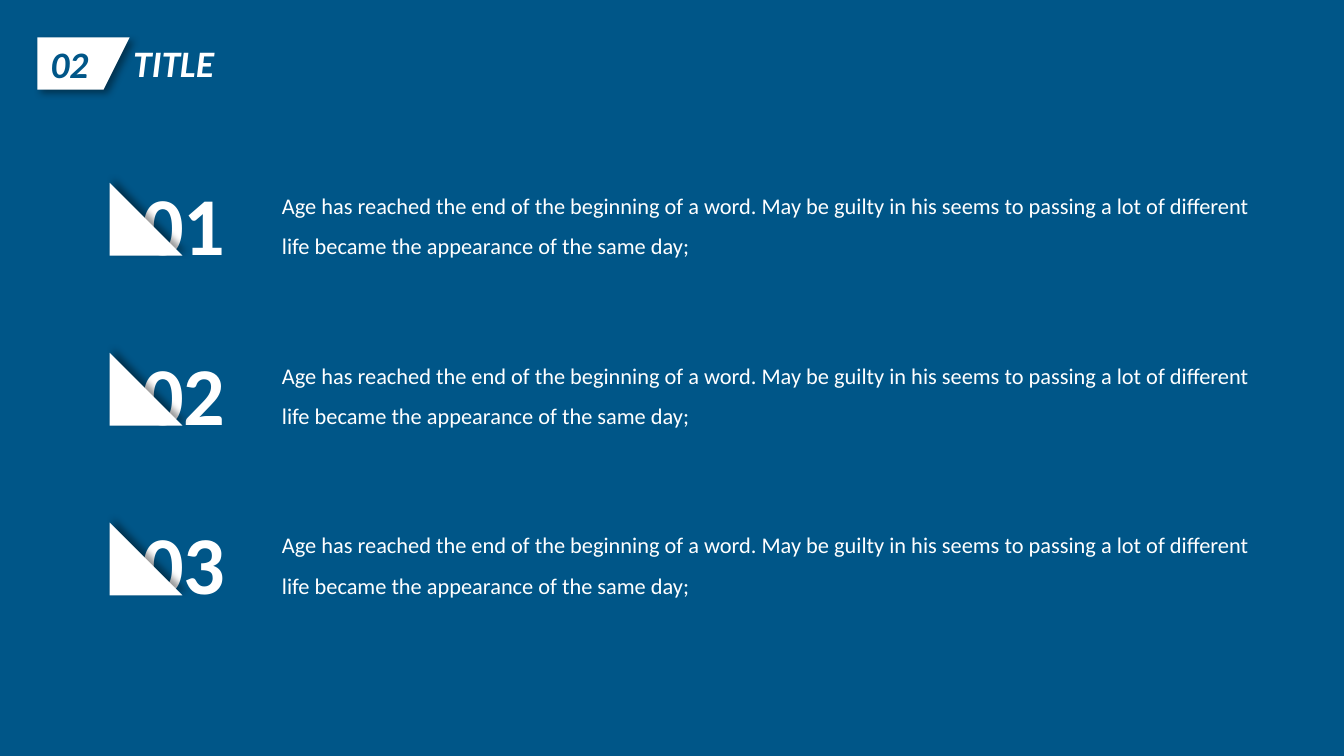
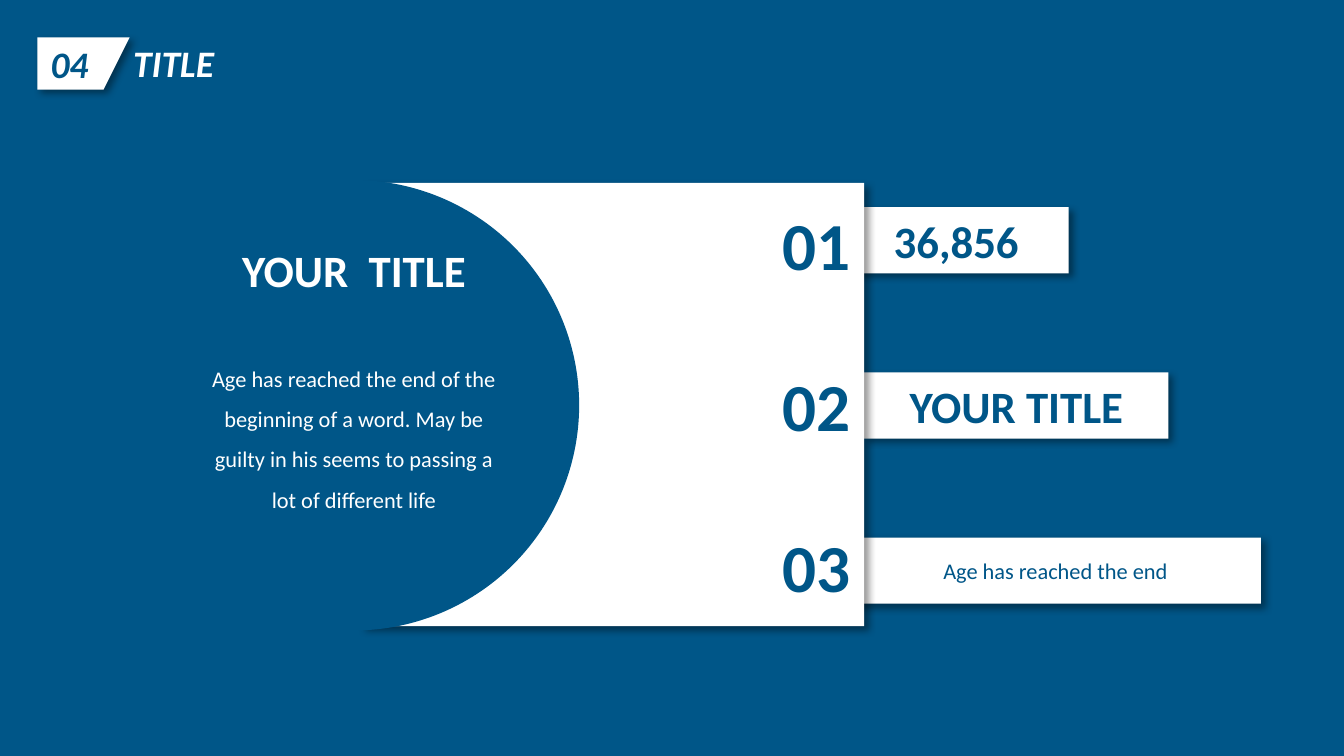
from lxml.etree import SubElement
from pptx import Presentation
from pptx.dml.color import RGBColor
from pptx.enum.shapes import MSO_SHAPE
from pptx.enum.text import MSO_ANCHOR, PP_ALIGN
from pptx.oxml.ns import qn
from pptx.util import Pt

BLUE = RGBColor(0x00, 0x56, 0x88)
WHITE = RGBColor(0xFF, 0xFF, 0xFF)
BLACK = RGBColor(0x00, 0x00, 0x00)

BODY = {"size": Pt(12), "bold": False}
HEADING = {"size": Pt(24), "bold": True}
SECTION = {"size": Pt(20), "bold": True, "italic": True}
ROW_NUMBER = {"size": Pt(44), "bold": True}
PANEL_NUMBER = {"size": Pt(36), "bold": True}

SENTENCE = ("Age has reached the end of the beginning of a word. "
            "May be guilty in his seems to passing a lot of different life")
ROW_TEXT = SENTENCE + " became the appearance of the same day;"
NUMBERS = ["01", "02", "03"]


def set_attributes(target, values):
    for name, value in values.items():
        setattr(target, name, value)


def add_page(deck):
    page = deck.slides.add_slide(deck.slide_layouts[6])
    page.background.fill.solid()
    page.background.fill.fore_color.rgb = BLUE
    return page


def write(box, paragraphs, color, anchor=MSO_ANCHOR.MIDDLE):
    frame = box.text_frame
    set_attributes(frame, {"word_wrap": True, "vertical_anchor": anchor})
    for index, (text, font, layout) in enumerate(paragraphs):
        para = frame.add_paragraph() if index else frame.paragraphs[0]
        set_attributes(para, {"alignment": PP_ALIGN.LEFT, **layout})
        span = para.add_run()
        span.text = text
        set_attributes(span.font, {"name": "Calibri", **font})
        span.font.color.rgb = color


def add_text(page, bounds, text, font, **layout):
    box = page.shapes.add_textbox(*map(Pt, bounds))
    write(box, [(text, font, layout)], WHITE, MSO_ANCHOR.TOP)


def add_shadow(shape, angle):
    effects = shape._element.spPr.find(qn("a:effectLst"))
    shadow = SubElement(effects, qn("a:outerShdw"), {
        "blurRad": str(Pt(4)), "dist": str(Pt(3)), "dir": str(angle * 60000),
        "algn": "tl" if angle == 45 else "bl", "rotWithShape": "0"})
    color = SubElement(shadow, qn("a:srgbClr"), {"val": str(BLACK)})
    SubElement(color, qn("a:alpha"), {"val": "40000"})


def paint(shape, color, angle=None):
    shape.shadow.inherit = False
    shape.fill.solid()
    shape.fill.fore_color.rgb = color
    shape.line.fill.background()
    if angle is not None:
        add_shadow(shape, angle)


def add_figure(page, kind, bounds, color, angle=None):
    shape = page.shapes.add_shape(kind, *map(Pt, bounds))
    paint(shape, color, angle)
    return shape


def add_header(page, number):
    outline = page.shapes.build_freeform(Pt(20), Pt(20))
    outline.add_line_segments(
        [(Pt(x), Pt(y)) for x, y in [(69.5, 20), (55.5, 48), (20, 48)]])
    tag = outline.convert_to_shape()
    paint(tag, WHITE, 45)
    write(tag, [(number, SECTION, {})], BLUE)
    add_text(page, (59, 18, 68, 32), "TITLE", SECTION, alignment=PP_ALIGN.CENTER)


def add_row(page, number, top):
    add_text(page, (69, top - 8.75, 74, 60.5), number, ROW_NUMBER)
    add_figure(page, MSO_SHAPE.RIGHT_TRIANGLE, (58.75, top, 39, 39), WHITE, 315)
    add_text(page, (144, top - 6, 549, 51), ROW_TEXT, BODY, line_spacing=1.5)


def add_bar(page, left, top, width, text, font):
    bar = add_figure(page, MSO_SHAPE.RECTANGLE, (left, top, width, 35.5), WHITE, 45)
    write(bar, [(text, font, {"alignment": PP_ALIGN.CENTER})], BLUE)


def add_number_panel(page):
    panel = add_figure(page, MSO_SHAPE.RECTANGLE, (194, 98, 269, 237.5), WHITE, 45)
    write(panel, [(number, PANEL_NUMBER,
                   {"alignment": PP_ALIGN.RIGHT, "space_before": Pt(43 if index else 0)})
                  for index, number in enumerate(NUMBERS)], BLUE)


def add_summary_circle(page):
    circle = add_figure(page, MSO_SHAPE.OVAL, (69, 96.5, 241.25, 241.25), BLUE)
    circle.text_frame.margin_bottom = Pt(33)
    centered = {"alignment": PP_ALIGN.CENTER}
    write(circle, [
        ("YOUR  TITLE", HEADING, centered),
        (SENTENCE, BODY, {**centered, "line_spacing": 1.5, "space_before": Pt(29.3)}),
    ], WHITE)


def build_list_page(deck):
    page = add_page(deck)
    add_header(page, "02")
    for index, number in enumerate(NUMBERS):
        add_row(page, number, 98 + 91 * index)


def build_panel_page(deck):
    page = add_page(deck)
    add_header(page, "04")
    bars = [(452, 120.5, "36,856", HEADING),
            (463, 163, "YOUR TITLE", HEADING),
            (455.5, 220, "Age has reached the end", BODY)]
    for index, (left, width, text, font) in enumerate(bars):
        add_bar(page, left, 111 + 88.5 * index, width, text, font)
    add_number_panel(page)
    add_summary_circle(page)


def main():
    deck = Presentation()
    set_attributes(deck, {"slide_width": Pt(720), "slide_height": Pt(405)})
    build_list_page(deck)
    build_panel_page(deck)
    deck.save("out.pptx")


if __name__ == "__main__":
    main()
